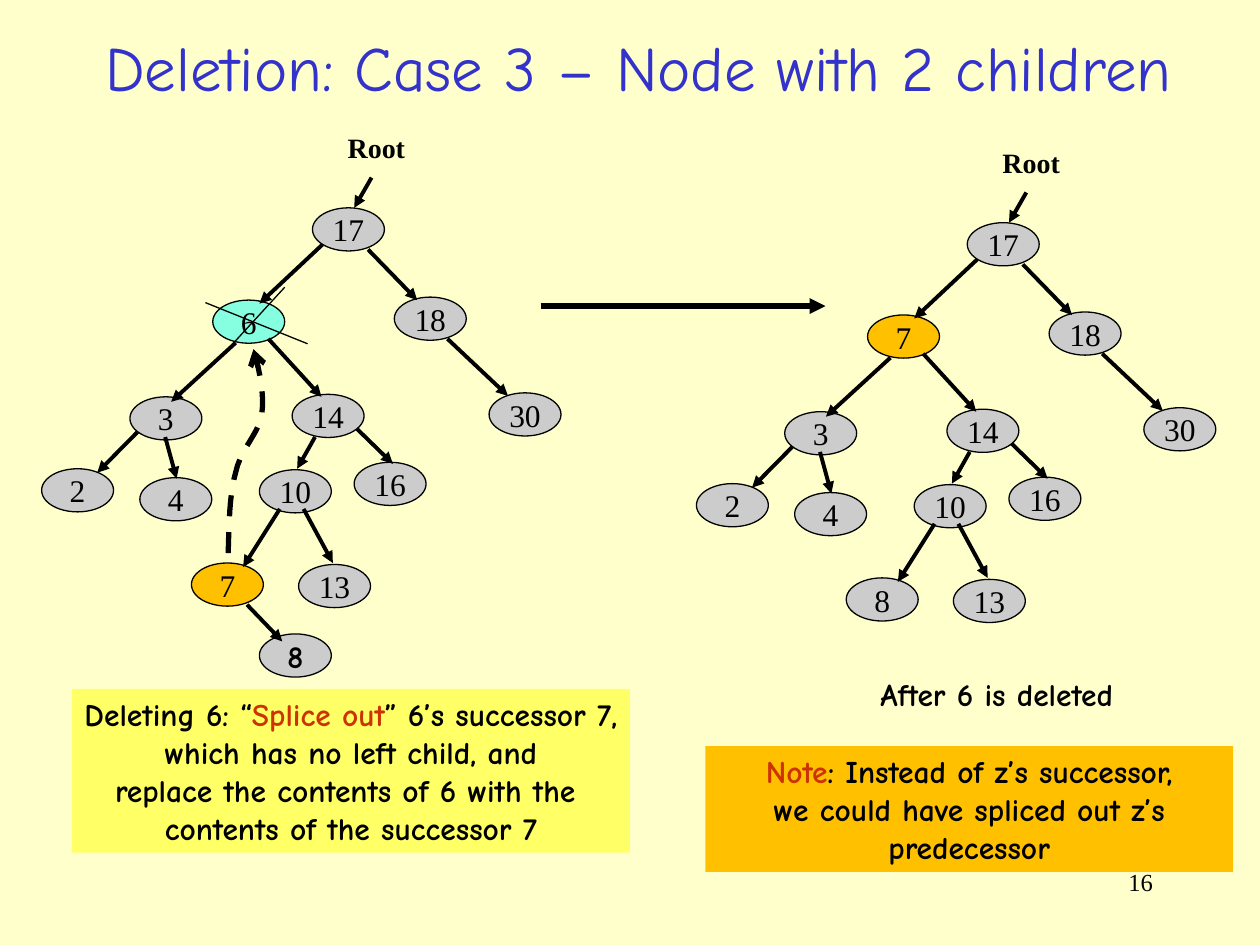
from pptx import Presentation
from pptx.dml.color import RGBColor
from pptx.enum import dml, shapes, text
from pptx.oxml import parse_xml
from pptx.oxml.ns import nsdecls
from pptx.util import Cm, Pt

COLORS = {"background": "FFFFCC", "title": "3333CC", "black": "000000", "accent": "CC3300",
          "node": "CCCCCC", "deleted": "85FFE0", "successor": "FFC000", "explanation": "FFFF66"}
HAND, SERIF = "Comic Neue", "Times New Roman"
LEFT, CENTER, RIGHT = text.PP_ALIGN.LEFT, text.PP_ALIGN.CENTER, text.PP_ALIGN.RIGHT

# Content: all lengths in centimetres
TITLE = "Deletion: Case 3 – Node with 2 children"
EXPLANATION = [
    [("Deleting 6: “", "black"), ("Splice out", "accent"), ("” 6’s successor 7,", "black")],
    [("which has no left child, and", "black")],
    [("replace the contents of 6 with the ", "black")],
    [("contents of the successor 7", "black")],
]
NOTE = [
    [("Note", "accent"), (": Instead of z’s successor,", "black")],
    [("we could have spliced out z’s predecessor", "black")],
]

NODE_SIZE = (1.45, 0.87)
# label: left, top
NODES = {
    "17": (6.3, 4.19), "6": (4.29, 6.05), "18": (7.95, 5.99), "30": (9.86, 7.92),
    "3": (2.62, 8), "14": (5.89, 7.95), "2": (0.84, 9.45), "4": (2.82, 9.63),
    "16": (7.14, 9.32), "10": (5.23, 9.47), "7": (3.86, 11.35), "13": (6.02, 11.38),
}
EDGES = [  # from x, from y, to x, to y
    (7.49, 3.58, 7.14, 4.19),    # Root to 17
    (6.5, 4.93, 5.23, 6.12),     # 17 to 6
    (7.42, 5.03, 8.41, 6.05),    # 17 to 18
    (9.02, 6.83, 10.24, 7.98),   # 18 to 30
    (4.75, 6.91, 3.45, 8.1),     # 6 to 3
    (5.41, 6.83, 6.48, 8),       # 6 to 14
    (2.77, 8.71, 1.96, 9.53),    # 3 to 2
    (3.33, 8.81, 3.56, 9.65),    # 3 to 4
    (7.19, 8.64, 7.92, 9.35),    # 14 to 16
    (6.35, 8.81, 5.99, 9.45),    # 14 to 10
    (5.64, 10.26, 4.9, 11.43),   # 10 to 7
    (6.12, 10.26, 6.71, 11.35),  # 10 to 13
]
AFTER_OFFSET = (13.2, 0.3)
AFTER_LABELS = {"6": "7", "7": "8"}
SPLICED_CHILD = ("8", 5.23, 12.78)
SPLICED_EDGE = (4.98, 12.19, 5.69, 12.93)
STEP_ARROW = (10.9, 6.17, 16.64, 6.17)
CROSS_OUT = [(5.74, 5.79, 4.39, 7.26), (4.14, 6.1, 6.2, 6.93)]
REPLACE_CURVE = [  # Bezier points, each segment starts where the last one ends
    (4.6, 11.15), (4.62, 10.57), (4.62, 9.98), (4.75, 9.53), (4.85, 9.04),
    (5.23, 8.74), (5.28, 8.33), (5.33, 7.92), (5.23, 7.47), (5.11, 7.04),
]


def color(name):
    return RGBColor.from_string(COLORS[name])


def write(shape, lines, size, font, align=CENTER, bold=False, wrap=False,
          anchor=text.MSO_ANCHOR.TOP):
    frame = shape.text_frame
    frame.word_wrap = wrap
    frame.vertical_anchor = anchor
    for index, runs in enumerate(lines):
        paragraph = frame.add_paragraph() if index else frame.paragraphs[0]
        paragraph.alignment = align
        paragraph.font.size, paragraph.font.name = Pt(size), font
        paragraph.font.bold = bold
        for words, ink in runs:
            run = paragraph.add_run()
            run.text = words
            run.font.color.rgb = color(ink)


def add_text(parent, box, words, size, font, ink="black", **options):
    shape = parent.add_textbox(*map(Cm, box))
    write(shape, [[(words, ink)]], size, font, **options)


def add_panel(parent, box, fill, lines, wrap):
    shape = parent.add_shape(shapes.MSO_SHAPE.RECTANGLE, *map(Cm, box))
    shape.shadow.inherit = False
    shape.fill.solid()
    shape.fill.fore_color.rgb = color(fill)
    shape.line.fill.background()
    write(shape, lines, 18, HAND, bold=True, wrap=wrap)


def add_node(parent, label, left, top, fill="node", font=SERIF, bold=False):
    shape = parent.add_shape(shapes.MSO_SHAPE.OVAL, *map(Cm, (left, top, *NODE_SIZE)))
    shape.shadow.inherit = False
    shape.fill.solid()
    shape.fill.fore_color.rgb = color(fill)
    shape.line.color.rgb = color("black")
    shape.line.width = Pt(0.75)
    write(shape, [[(label, "black")]], 18, font, bold=bold, anchor=text.MSO_ANCHOR.MIDDLE)


def add_arrowhead(line, kind):
    line._get_or_add_ln().append(parse_xml(f'<a:tailEnd {nsdecls("a")} type="{kind}"/>'))


def add_line(parent, ends, width=2.25, arrow=True):
    connector = parent.add_connector(shapes.MSO_CONNECTOR.STRAIGHT, *map(Cm, ends))
    connector.line.color.rgb = color("black")
    connector.line.width = Pt(width)
    if arrow:
        add_arrowhead(connector.line, "triangle")
    connector._element.spPr.append(parse_xml(f'<a:effectLst {nsdecls("a")}/>'))


def add_tree(parent, offset, labels, fills):
    dx, dy = offset
    add_text(parent, (6.76 + dx, 2.51 + dy, 1.8, 0.94), "Root", 16, SERIF,
             align=LEFT, bold=True)
    for key, (left, top) in NODES.items():
        label = labels.get(key, key)
        add_node(parent, label, left + dx, top + dy, fills.get(label, "node"))
    for x1, y1, x2, y2 in EDGES:
        add_line(parent, (x1 + dx, y1 + dy, x2 + dx, y2 + dy))


def curve_points(points, steps=10):
    for first in range(0, len(points) - 1, 3):
        segment = points[first:first + 4]
        for step in range(1, steps + 1):
            t = step / steps
            weights = ((1 - t) ** 3, 3 * t * (1 - t) ** 2, 3 * t * t * (1 - t), t ** 3)
            yield tuple(Cm(sum(w * value for w, value in zip(weights, axis)))
                        for axis in zip(*segment))


def add_dashed_curve(parent, points):
    builder = parent.build_freeform(*map(Cm, points[0]))
    builder.add_line_segments(list(curve_points(points)), close=False)
    shape = builder.convert_to_shape()
    shape.shadow.inherit = False
    shape.fill.background()
    shape.line.color.rgb = color("black")
    shape.line.width = Pt(3)
    shape.line.dash_style = dml.MSO_LINE.DASH
    add_arrowhead(shape.line, "arrow")


def main():
    presentation = Presentation()
    presentation.slide_width, presentation.slide_height = Cm(25.4), Cm(19.05)
    slide = presentation.slides.add_slide(presentation.slide_layouts[6])
    slide.background.fill.solid()
    slide.background.fill.fore_color.rgb = color("background")
    canvas = slide.shapes

    # Page number and title
    add_text(canvas, (18.21, 17.35, 5.28, 1.27), "16", 14, SERIF, align=RIGHT, wrap=True)
    add_text(canvas, (0.76, 0.38, 24.23, 1.93), TITLE, 36, HAND, "title",
             wrap=True, anchor=text.MSO_ANCHOR.MIDDLE)

    # Tree before the deletion
    add_panel(canvas, (1.45, 13.89, 11.25, 3.3), "explanation", EXPLANATION, wrap=False)
    add_tree(canvas, (0, 0), {}, {"6": "deleted", "7": "successor"})
    add_node(canvas, *SPLICED_CHILD, font=HAND, bold=True)
    add_line(canvas, SPLICED_EDGE)
    add_line(canvas, STEP_ARROW, width=3)

    # Tree after the deletion
    after = canvas.add_group_shape().shapes
    add_text(after, (17.5, 13.49, 5.23, 1.02), "After 6 is deleted", 18, HAND,
             align=LEFT, bold=True)
    add_tree(after, AFTER_OFFSET, AFTER_LABELS, {"7": "successor"})
    add_panel(canvas, (14.22, 15.04, 10.64, 2.54), "successor", NOTE, wrap=True)

    # Successor replaces the crossed-out node
    add_dashed_curve(canvas, REPLACE_CURVE)
    for ends in CROSS_OUT:
        add_line(canvas, ends, width=0.75, arrow=False)

    presentation.save("out.pptx")


if __name__ == "__main__":
    main()
